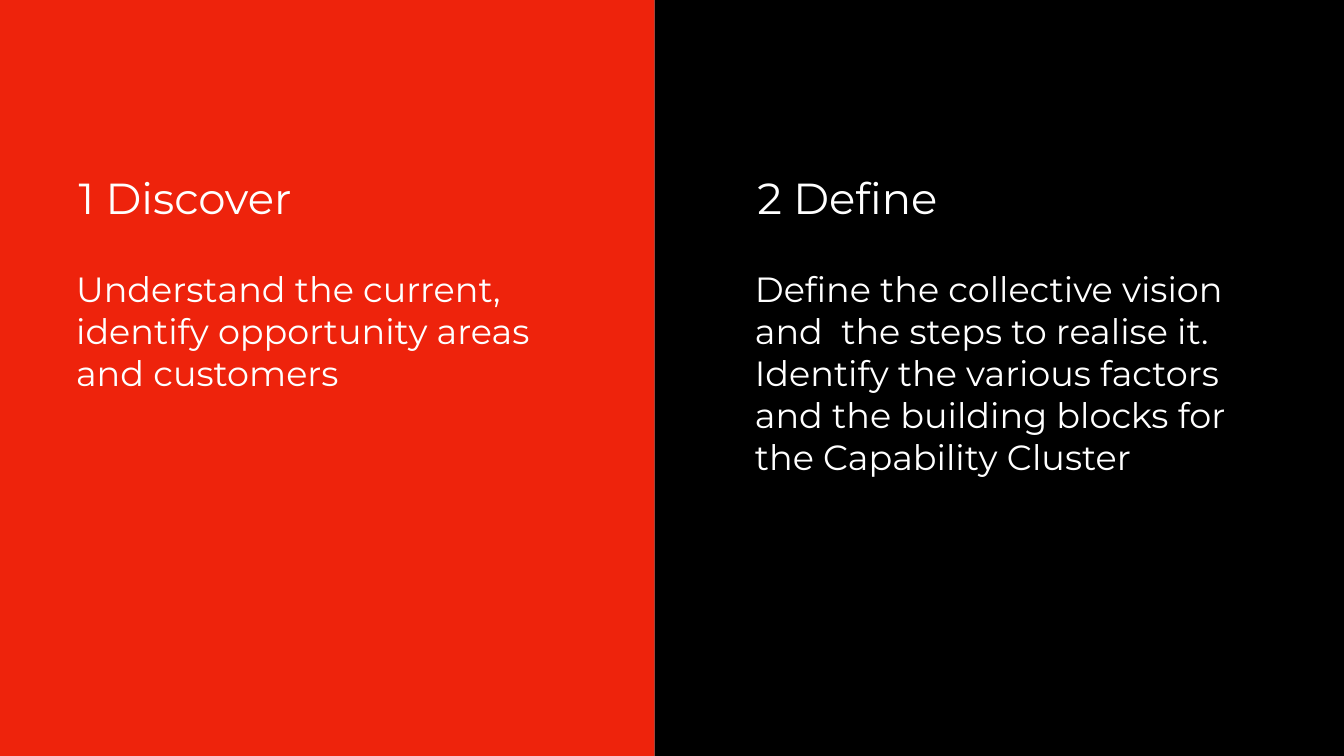
from pptx import Presentation
from pptx.dml.color import RGBColor
from pptx.enum.shapes import MSO_SHAPE
from pptx.enum.text import MSO_ANCHOR
from pptx.util import Inches, Pt

WIDTH, HEIGHT = 26.67, 15
SPLIT = 12.99
FONT = "Montserrat"
WHITE = "FFFFFF"
LINE_HEIGHT = 0.85
INSET = 0.06

PHASES = [
    {
        "panel": (0, SPLIT, "EE230C"),
        "text_left": 1.45,
        "title": "1 Discover",
        "title_width": 4.6,
        "body": ["Understand the current, identify opportunity areas and customers"],
        "body_lines": 3,
    },
    {
        "panel": (SPLIT, WIDTH - SPLIT, "000000"),
        "text_left": 14.92,
        "title": "2 Define",
        "title_width": 3.94,
        "body": [
            "Define the collective vision and  the steps to realise it.",
            "Identify the various factors",
            "and the building blocks for the Capability Cluster",
        ],
        "body_lines": 5,
    },
]


def color(value):
    return RGBColor.from_string(value)


def add_panel(slide, left, width, fill):
    shape = slide.shapes.add_shape(
        MSO_SHAPE.RECTANGLE, Inches(left), 0, Inches(width), Inches(HEIGHT)
    )
    shape.shadow.inherit = False
    shape.fill.solid()
    shape.fill.fore_color.rgb = color(fill)
    shape.line.fill.background()


def add_text(slide, paragraphs, *, left, top, width, height, size, wrap=True, anchor=MSO_ANCHOR.TOP):
    box = slide.shapes.add_textbox(Inches(left), Inches(top), Inches(width), Inches(height))
    frame = box.text_frame
    frame.word_wrap = wrap
    frame.vertical_anchor = anchor
    frame.margin_left = frame.margin_right = Inches(INSET)
    frame.margin_top = frame.margin_bottom = Inches(INSET)
    frame.text = "\n".join(paragraphs)
    for paragraph in frame.paragraphs:
        font = paragraph.runs[0].font
        font.name = FONT
        font.size = Pt(size)
        font.color.rgb = color(WHITE)


presentation = Presentation()
presentation.slide_width = Inches(WIDTH)
presentation.slide_height = Inches(HEIGHT)
slide = presentation.slides.add_slide(presentation.slide_layouts[6])

for phase in PHASES:
    add_panel(slide, *phase["panel"])
    add_text(
        slide, [phase["title"]], left=phase["text_left"] + 0.05, top=3.32,
        width=phase["title_width"], height=1.17, size=62, wrap=False, anchor=MSO_ANCHOR.MIDDLE,
    )
    add_text(
        slide, phase["body"], left=phase["text_left"], top=5.25, width=10.12,
        height=phase["body_lines"] * LINE_HEIGHT + 2 * INSET, size=50,
    )

presentation.save("out.pptx")
